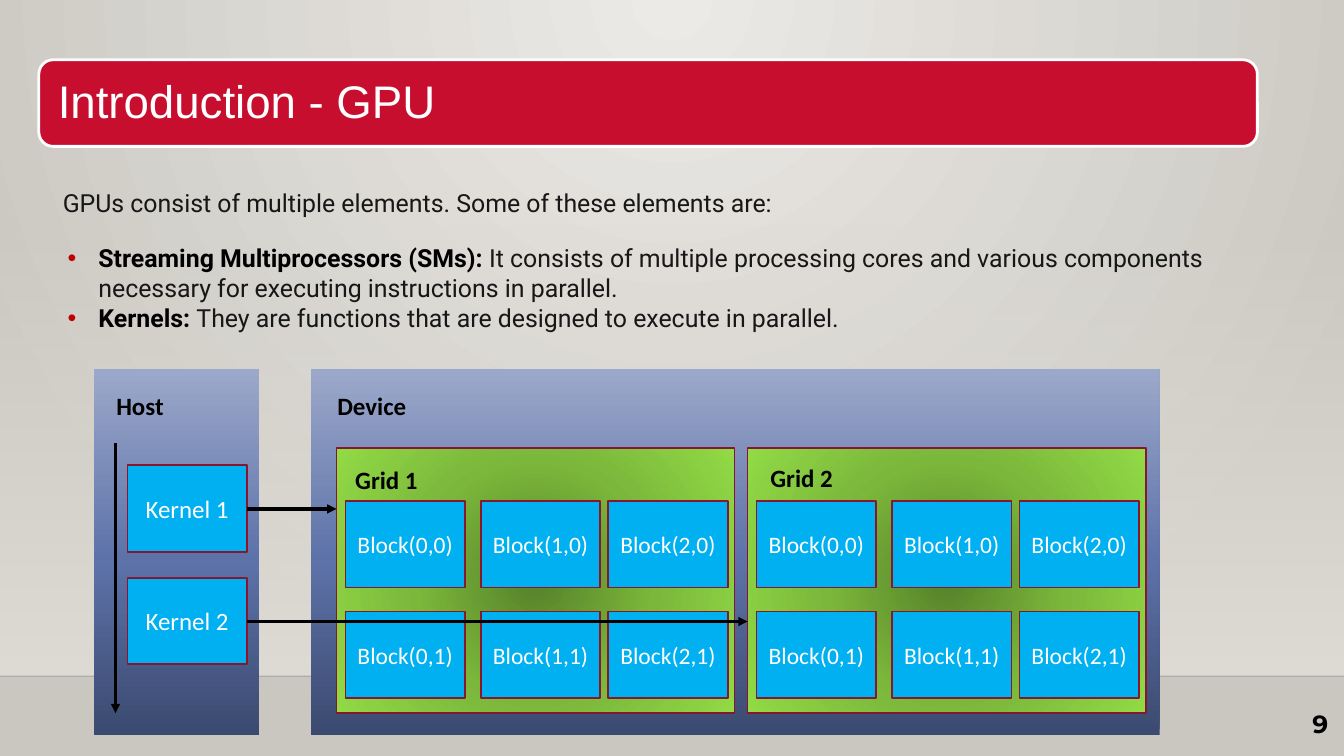
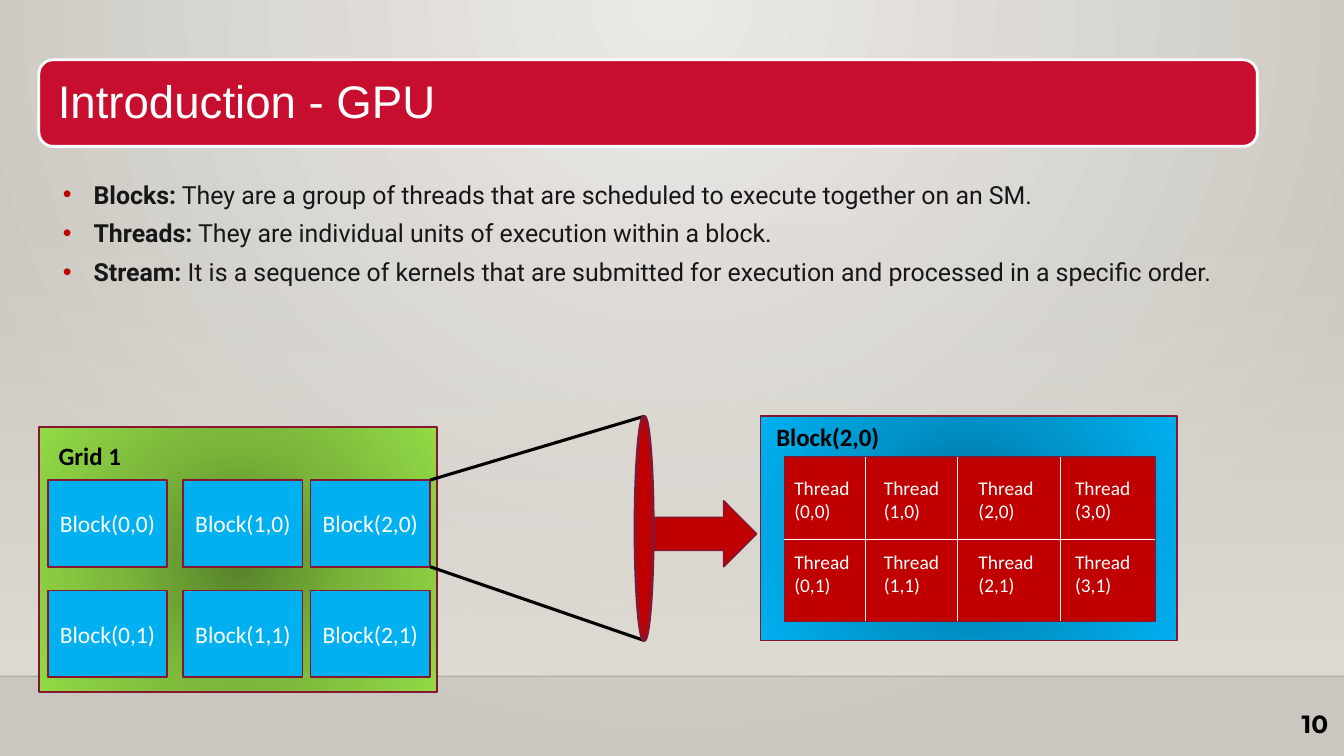
from dataclasses import dataclass

from lxml import etree
from pptx import Presentation, util as u
from pptx.dml.color import RGBColor
from pptx.enum import shapes, text
from pptx.oxml import parse_xml
from pptx.oxml.ns import nsdecls, qn

SHAPE = shapes.MSO_SHAPE
ALIGN = text.PP_ALIGN
ANCHOR = text.MSO_ANCHOR


@dataclass(frozen=True)
class Theme:
    banner: str = "C70E2E"
    red: str = "C00000"
    outline: str = "871631"
    block: str = "00B0F0"
    white: str = "FFFFFF"
    black: str = "000000"
    ink: str = "171717"
    horizon: str = "000001"
    # Gradient stops: position, colour, opacity in percent
    backdrop: tuple = ((0, "ECEAE7", 100), (100, "CAC7C1", 100))
    wall: tuple = ((0, "DFDBD5", 0), (100, "DFDBD5", 100))
    slate: tuple = ((0, "3B4A6F", 100), (48, "5D72A9", 100), (100, "9BA8CA", 100))
    green: tuple = ((0, "57812A", 100), (50, "7BB73B", 100), (100, "92DA46", 100))
    cyan: tuple = ((0, "00688E", 100), (50, "0094CA", 100), (100, "00B0F0", 100))
    title_font: str = "Arial"
    body_font: str = "Roboto"
    label_font: str = "Calibri"
    number_font: str = "Montserrat"
    title_size: int = 33
    body_size: int = 18
    block_size: int = 17
    thread_size: int = 14


T = Theme()
BLOCK_W, BLOCK_H = 1.2, 0.87
GRID_W, GRID_H = 4, 2.66
CENTRE = (50, 50, 50, 50)


def inches(*lengths):
    return [u.Inches(n) for n in lengths]


def rgb(value):
    return RGBColor.from_string(value)


def set_gradient(fill, root, stops, angle=None, focus=CENTRE):
    """Fill root linearly at angle, or as a circle around focus when angle is None."""
    fill.background()
    gs = "".join(
        f'<a:gs pos="{pos * 1000}"><a:srgbClr val="{color}">'
        f'<a:alpha val="{alpha * 1000}"/></a:srgbClr></a:gs>'
        for pos, color, alpha in stops)
    if angle is None:
        left, top, right, bottom = (n * 1000 for n in focus)
        course = (f'<a:path path="circle"><a:fillToRect l="{left}" t="{top}" '
                  f'r="{right}" b="{bottom}"/></a:path>')
    else:
        course = f'<a:lin ang="{angle * 60000}" scaled="0"/>'
    empty = root.find(".//" + qn("a:noFill"))
    empty.getparent().replace(empty, parse_xml(
        f'<a:gradFill {nsdecls("a")} rotWithShape="1">'
        f'<a:gsLst>{gs}</a:gsLst>{course}</a:gradFill>'))


def add_bullet(p):
    pPr = p._p.get_or_add_pPr()
    color = etree.SubElement(pPr, qn("a:buClr"))
    etree.SubElement(color, qn("a:srgbClr")).set("val", T.red)
    etree.SubElement(pPr, qn("a:buFont")).set("typeface", "Arial")
    etree.SubElement(pPr, qn("a:buChar")).set("char", "•")


def write(tf, paragraphs, size=T.body_size, color=T.black, font=T.label_font,
          bold=False, lead_color=None, align=ALIGN.LEFT, anchor=ANCHOR.TOP,
          inset=(0.1, 0.05), spacing=1.0, wrap=True, bullets=False, indent=(0, 0)):
    """Write paragraphs; a (lead, rest) pair gets a bold lead."""
    tf.auto_size = text.MSO_AUTO_SIZE.NONE
    tf.word_wrap = wrap
    tf.vertical_anchor = anchor
    tf.margin_left = tf.margin_right = u.Inches(inset[0])
    tf.margin_top = tf.margin_bottom = u.Inches(inset[1])
    for i, content in enumerate(paragraphs):
        p = tf.add_paragraph() if i else tf.paragraphs[0]
        p.alignment, p.line_spacing = align, spacing
        p.space_before = p.space_after = u.Pt(0)
        pPr = p._p.get_or_add_pPr()
        pPr.set("marL", str(u.Inches(indent[0])))
        pPr.set("indent", str(u.Inches(indent[1])))
        if bullets:
            add_bullet(p)
        else:
            etree.SubElement(pPr, qn("a:buNone"))
        if isinstance(content, str):
            runs = [(content, bold, color)]
        else:
            runs = [(content[0], True, lead_color or color), (content[1], False, color)]
        for words, is_bold, run_color in runs:
            r = p.add_run()
            r.text = words
            r.font.name, r.font.size, r.font.bold = font, u.Pt(size), is_bold
            r.font.color.rgb = rgb(run_color)


def add_label(s, box, words, **fmt):
    sp = s.shapes.add_textbox(*inches(*box))
    write(sp.text_frame, [words], **fmt)


def fill_placeholder(ph, box, paragraphs, **fmt):
    ph.left, ph.top, ph.width, ph.height = inches(*box)
    write(ph.text_frame, paragraphs, **fmt)


def add_box(s, box, fill, kind=SHAPE.RECTANGLE, line=T.outline, width=1.25,
            angle=None, words=None, size=T.body_size):
    """Add a shape; fill is one colour or a tuple of gradient stops."""
    sp = s.shapes.add_shape(kind, *inches(*box))
    sp.shadow.inherit = False
    if isinstance(fill, str):
        sp.fill.solid()
        sp.fill.fore_color.rgb = rgb(fill)
    else:
        set_gradient(sp.fill, sp.element, fill, angle)
    if line:
        sp.line.color.rgb = rgb(line)
        sp.line.width = u.Pt(width)
    else:
        sp.line.fill.background()
    if words:
        write(sp.text_frame, [words], size=size, color=T.white,
              align=ALIGN.CENTER, anchor=ANCHOR.MIDDLE)
    return sp


def add_line(s, start, end, color=T.black, width=2.25, arrow=False, alpha=None):
    cn = s.shapes.add_connector(shapes.MSO_CONNECTOR.STRAIGHT, *inches(*start, *end))
    cn.line.color.rgb = rgb(color)
    cn.line.width = u.Pt(width)
    spPr = cn.element.spPr
    ln = spPr.find(qn("a:ln"))
    if alpha:
        etree.SubElement(ln.find(".//" + qn("a:srgbClr")),
                         qn("a:alpha")).set("val", str(alpha * 1000))
    if arrow:
        etree.SubElement(ln, qn("a:tailEnd")).set("type", "triangle")
    etree.SubElement(spPr, qn("a:effectLst"))
    return cn


def dress_master(prs, s):
    """Draw the shared backdrop and title banner on s, then move them to the master."""
    master = prs.slide_master
    set_gradient(master.background.fill, master.element, T.backdrop, focus=(43, 0, 43, 100))
    parts = [
        add_box(s, (0, 2.24, 13.5, 4.55), T.wall, line=None, angle=90),
        add_line(s, (0, 6.79), (13.5, 6.79), T.horizon, 1, alpha=20),
        add_box(s, (0.39, 0.6, 12.24, 0.87), T.banner, SHAPE.ROUNDED_RECTANGLE, T.white, 2),
    ]
    tree = master.shapes.element
    for i, part in enumerate(parts):
        part.element.xpath(".//p:cNvPr")[0].set("id", str(100 + i))
        tree.insert(2 + i, part.element)


def add_header(s, number):
    fill_placeholder(s.shapes.title, (0.44, 0.65, 12.15, 0.78), ["Introduction - GPU"],
                     size=T.title_size, color=T.white, font=T.title_font,
                     anchor=ANCHOR.MIDDLE, inset=(0.14, 0.14), spacing=0.9)
    add_label(s, (12.63, 7.01, 0.81, 0.58), str(number), font=T.number_font,
              bold=True, align=ALIGN.RIGHT, inset=(0.1, 0.1))


def add_grid(s, x, y, name, name_offset):
    add_box(s, (x, y, GRID_W, GRID_H), T.green)
    for row, dy in enumerate((0.53, 1.64)):
        for col, dx in enumerate((0.09, 1.45, 2.73)):
            add_box(s, (x + dx, y + dy, BLOCK_W, BLOCK_H), T.block,
                    words=f"Block({col},{row})", size=T.block_size)
    add_label(s, (x + name_offset[0], y + name_offset[1], 1.67, 0.4), name, bold=True)


def add_host(s, x, y, w, h):
    add_box(s, (x, y, w, h), T.slate, line=None, angle=270)
    add_label(s, (x + 0.13, y + 0.16, 1.34, 0.4), "Host", bold=True)
    add_line(s, (x + 0.22, y + 0.74), (x + 0.22, y + 3.45), arrow=True)
    for i in range(2):
        add_box(s, (x + 0.34, y + 0.96 + 1.13 * i, BLOCK_W, BLOCK_H), T.block,
                words=f"Kernel {i + 1}")


def add_device(s, x, y, w, h):
    add_box(s, (x, y, w, h), T.slate, line=None, angle=270)
    add_label(s, (x + 0.17, y + 0.16, 1, 0.4), "Device", bold=True, wrap=False)
    add_grid(s, x + 0.26, y + 0.79, "Grid 1", (0.09, 0.12))
    add_grid(s, x + 4.39, y + 0.79, "Grid 2", (0.13, 0.1))


def add_thread_block(s, x, y, w, h):
    add_box(s, (x, y, w, h), T.cyan)
    add_label(s, (x + 0.06, y, 1.67, 0.4), "Block(2,0)", bold=True)
    left, top, width, height = x + 0.24, y + 0.41, 3.72, 1.65
    add_box(s, (left, top, width, height), T.red)
    for dx in (0.81, 1.74, 2.77):
        add_line(s, (left + dx, top), (left + dx, top + height), T.white, 0.75)
    middle = top + height / 2
    add_line(s, (left, middle), (left + width, middle), T.white, 0.75)
    for row, dy in enumerate((0.14, 0.88)):
        for col, dx in enumerate((0, 0.9, 1.85, 2.82)):
            add_label(s, (left + dx, top + dy, 0.8, 0.57), f"Thread ({col},{row})",
                      size=T.thread_size, color=T.white)


def add_zoom(s, start_x, top, bottom, lens):
    """Lead from a block's right edge to a lens, and by an arrow onwards."""
    x, y, w, h = lens
    add_line(s, (start_x, top), (x + w / 2, y))
    add_line(s, (start_x, bottom), (x + w / 2, y + h))
    add_box(s, lens, T.red, SHAPE.OVAL, width=2.25)
    add_box(s, (x + 0.19, y + 0.85, 1.03, 0.66), T.red, SHAPE.RIGHT_ARROW)


def build_kernel_slide(s):
    add_header(s, 9)
    fill_placeholder(s.placeholders[1], (0.39, 1.69, 12.24, 0.87),
                     ["GPUs consist of multiple elements. Some of these elements are:"],
                     color=T.ink, font=T.body_font, inset=(0.1, 0.1), spacing=1.3,
                     indent=(0.14, 0))
    elements = s.shapes.add_textbox(*inches(0.44, 2.39, 12.24, 1.01))
    write(elements.text_frame, [
        ("Streaming Multiprocessors (SMs): ",
         "It consists of multiple processing cores and various components "
         "necessary for executing instructions in parallel."),
        ("Kernels: ", "They are functions that are designed to execute in parallel."),
    ], color=T.ink, lead_color=T.black, font=T.body_font, bullets=True, indent=(0.45, -0.31))
    add_host(s, 0.94, 3.71, 1.66, 3.67)
    add_device(s, 3.12, 3.71, 8.53, 3.67)
    for y, grid_x in ((5.11, 3.38), (6.24, 7.51)):
        add_line(s, (2.48, y), (grid_x, y), arrow=True)


def build_thread_slide(s):
    add_header(s, 10)
    fill_placeholder(s.placeholders[1], (0.39, 1.61, 12.24, 2.1), [
        ("Blocks:", " They are a group of threads that are scheduled to execute "
                    "together on an SM."),
        ("Threads:", " They are individual units of execution within a block."),
        ("Stream:", " It is a sequence of kernels that are submitted for execution "
                    "and processed in a specific order."),
    ], color=T.ink, font=T.body_font, inset=(0.1, 0.1), spacing=1.3,
        bullets=True, indent=(0.45, -0.31))
    add_grid(s, 0.39, 4.29, "Grid 1", (0.1, 0.08))
    add_thread_block(s, 7.64, 4.18, 4.18, 2.25)
    add_zoom(s, 4.32, 4.82, 5.69, (6.38, 4.18, 0.18, 2.25))


def main():
    prs = Presentation()
    prs.slide_width, prs.slide_height = inches(13.5, 7.59)
    layout = prs.slide_layouts[1]
    kernel_slide, thread_slide = (prs.slides.add_slide(layout) for _ in range(2))
    dress_master(prs, kernel_slide)
    build_kernel_slide(kernel_slide)
    build_thread_slide(thread_slide)
    prs.save("out.pptx")


if __name__ == "__main__":
    main()
